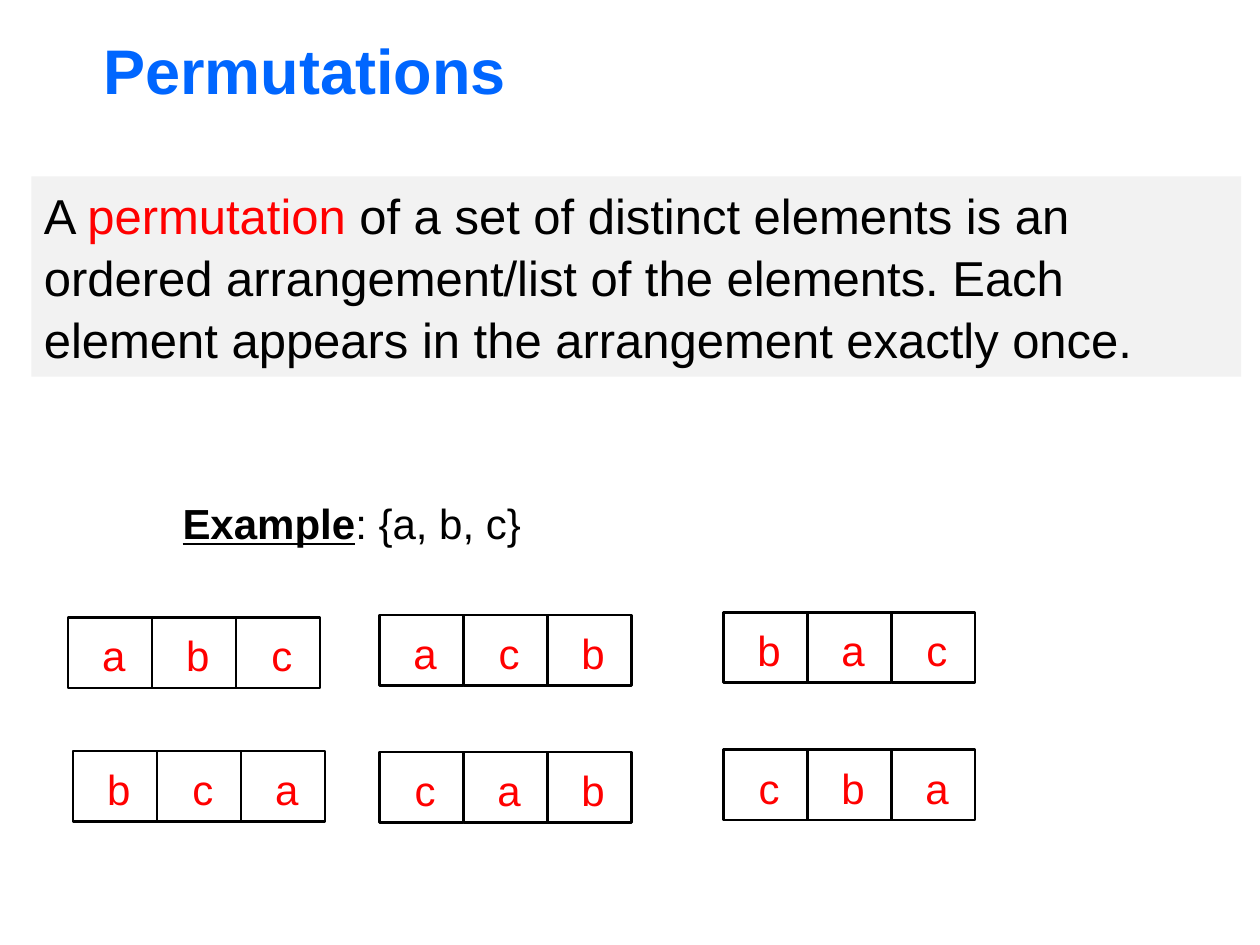
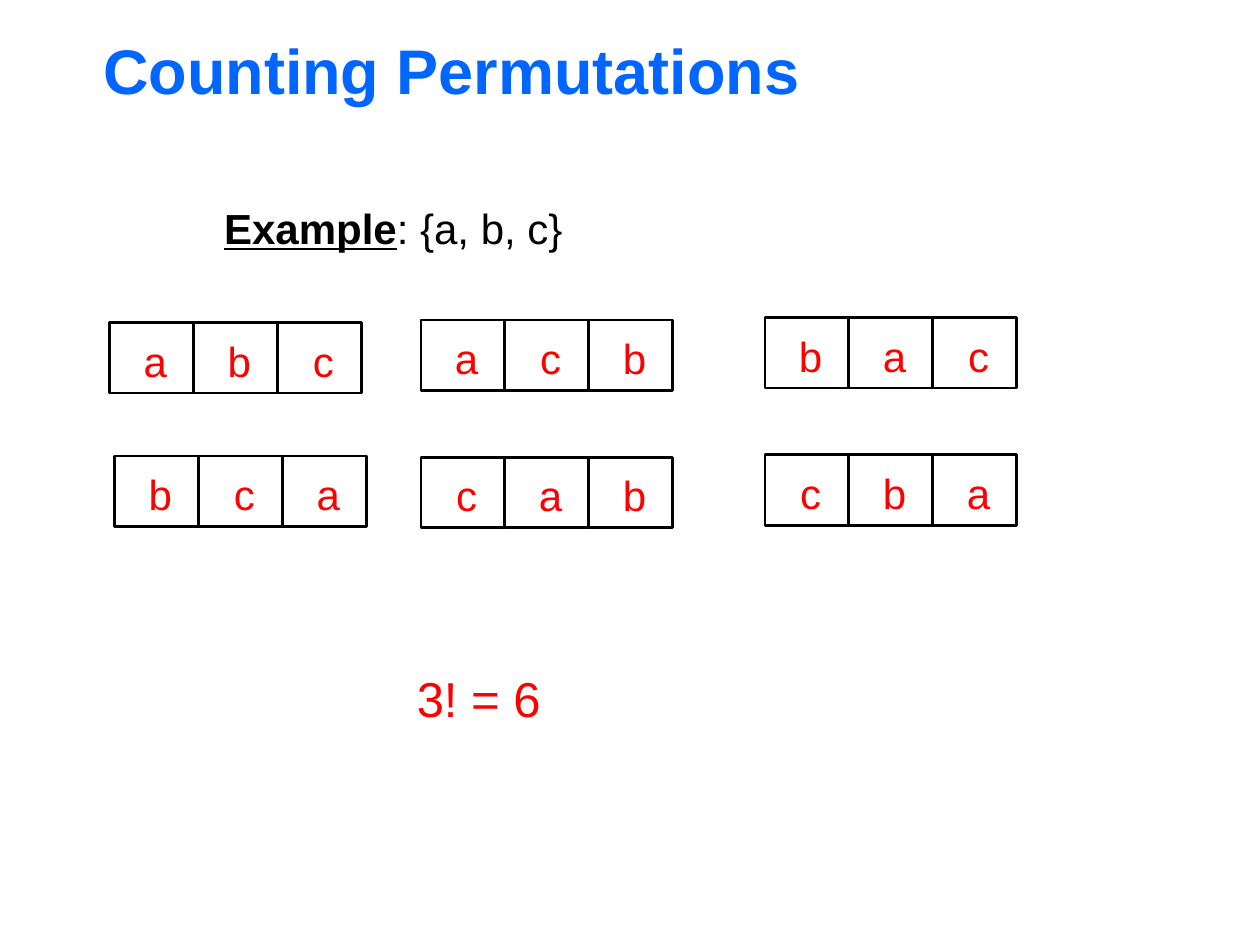
"""Build two slides that list and count the permutations of three letters."""
import pptx
import pptx.dml.color
import pptx.enum.shapes
import pptx.enum.text
import pptx.util

Inches, Pt = pptx.util.Inches, pptx.util.Pt
RGBColor = pptx.dml.color.RGBColor
PP_ALIGN, MSO_ANCHOR = pptx.enum.text.PP_ALIGN, pptx.enum.text.MSO_ANCHOR

BLUE = RGBColor(0x00, 0x66, 0xFF)
RED = RGBColor(0xFF, 0x00, 0x00)
BLACK = RGBColor(0x00, 0x00, 0x00)
LIGHT_GRAY = RGBColor(0xF2, 0xF2, 0xF2)
FONT = "Arial"
TITLE_ONLY = 5

DEFINITION = [
    ("A ", BLACK),
    ("permutation", RED),
    (" of a set of distinct elements is an ordered arrangement/list of the elements. "
     "Each element appears in the arrangement exactly once.", BLACK),
]
EXAMPLE_LABEL, EXAMPLE_SET = "Example", ": {a, b, c}"
PERMUTATION_OFFSETS = {
    "abc": (-0.81, 1.0),
    "acb": (1.66, 0.98),
    "bac": (4.39, 0.96),
    "bca": (-0.77, 2.06),
    "cab": (1.66, 2.07),
    "cba": (4.39, 2.05),
}
CELL_WIDTH, CELL_HEIGHT = 2 / 3, 0.56


def style_paragraph(paragraph, size, color, bold=False):
    font = paragraph.font
    font.name, font.size, font.bold = FONT, Pt(size), bold
    font.color.rgb = color


def add_titled_slide(presentation, title):
    slide = presentation.slides.add_slide(presentation.slide_layouts[TITLE_ONLY])
    shape = slide.shapes.title
    shape.left, shape.top = Inches(0.72), Inches(0.21)
    shape.width, shape.height = Inches(8.5), Inches(0.68)
    shape.text_frame.text = title
    shape.text_frame.vertical_anchor = MSO_ANCHOR.MIDDLE
    paragraph = shape.text_frame.paragraphs[0]
    paragraph.alignment = PP_ALIGN.LEFT
    style_paragraph(paragraph, 36, BLUE, bold=True)
    return slide


def add_text(slide, left, top, width, height, size, color, wrap=False):
    box = slide.shapes.add_textbox(Inches(left), Inches(top), Inches(width), Inches(height))
    box.text_frame.word_wrap = wrap
    paragraph = box.text_frame.paragraphs[0]
    style_paragraph(paragraph, size, color)
    return box, paragraph


def add_definition(slide):
    box, paragraph = add_text(slide, 0.25, 1.4, 9.6, 1.59, 28, BLACK, wrap=True)
    box.fill.solid()
    box.fill.fore_color.rgb = LIGHT_GRAY
    paragraph.line_spacing = 1.05
    for text, color in DEFINITION:
        run = paragraph.add_run()
        run.text = text
        run.font.color.rgb = color


def add_cell(slide, letter, left, top):
    cell = slide.shapes.add_shape(
        pptx.enum.shapes.MSO_SHAPE.RECTANGLE,
        Inches(left), Inches(top), Inches(CELL_WIDTH), Inches(CELL_HEIGHT))
    cell.shadow.inherit = False
    cell.fill.background()
    cell.line.color.rgb = BLACK
    cell.line.width = Pt(1.5)
    frame = cell.text_frame
    frame.margin_left, frame.margin_right = Inches(0.06), 0
    frame.margin_top, frame.margin_bottom = Inches(0.04), 0
    frame.vertical_anchor = MSO_ANCHOR.MIDDLE
    frame.text = letter
    paragraph = frame.paragraphs[0]
    paragraph.alignment = PP_ALIGN.CENTER
    style_paragraph(paragraph, 24, RED)


def add_example(slide, left, top):
    paragraph = add_text(slide, left, top, 2.91, 0.5, 24, BLACK)[1]
    label = paragraph.add_run()
    label.text = EXAMPLE_LABEL
    label.font.bold = label.font.underline = True
    paragraph.add_run().text = EXAMPLE_SET
    for letters, (offset_x, offset_y) in PERMUTATION_OFFSETS.items():
        for position, letter in enumerate(letters):
            add_cell(slide, letter, left + offset_x + position * CELL_WIDTH, top + offset_y)


def main():
    presentation = pptx.Presentation()
    presentation.slide_width, presentation.slide_height = Inches(10), Inches(7.5)

    slide = add_titled_slide(presentation, "Permutations")
    add_definition(slide)
    add_example(slide, 1.35, 3.9)

    slide = add_titled_slide(presentation, "Counting Permutations")
    add_example(slide, 1.68, 1.56)
    add_text(slide, 3.21, 5.26, 1.2, 0.57, 28, RED)[1].add_run().text = "3! = 6"

    presentation.save("out.pptx")


if __name__ == "__main__":
    main()
